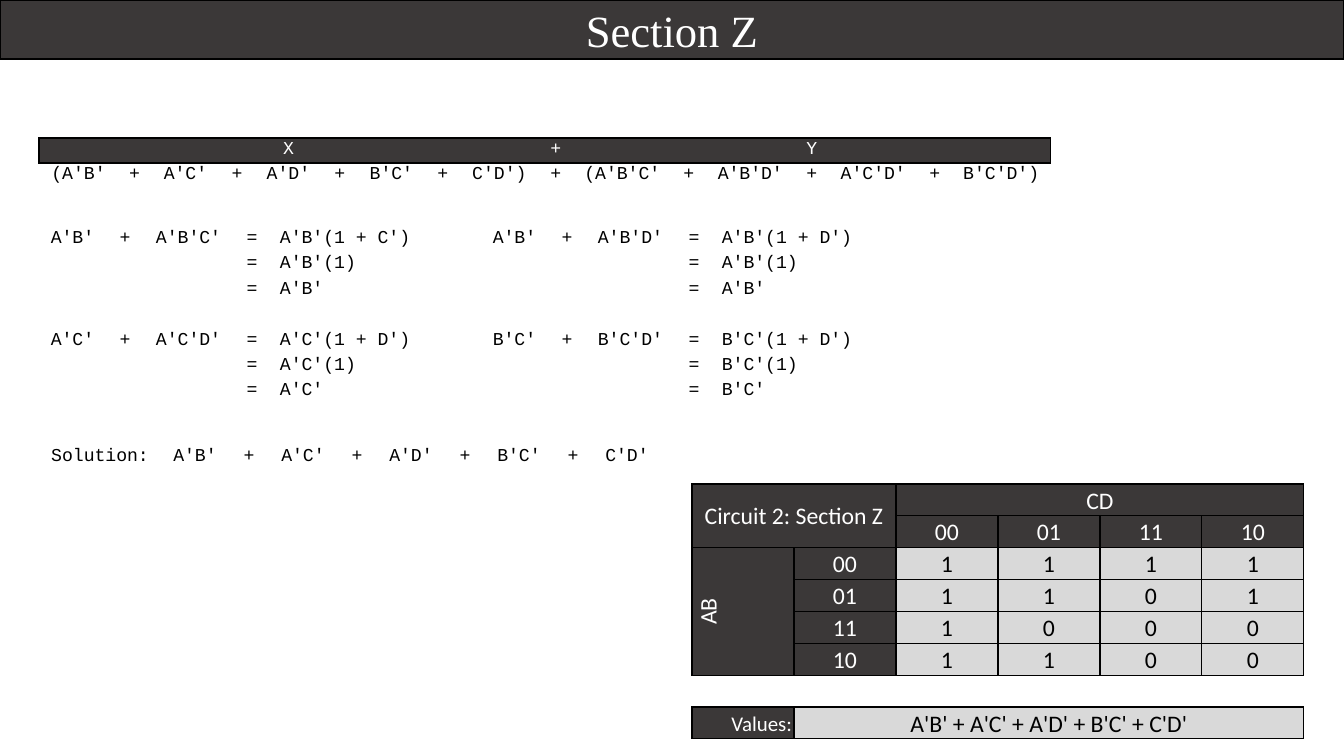
"""Build the Section Z slide: Boolean simplification steps and Karnaugh map."""
from lxml import etree
from pptx import Presentation
from pptx.dml.color import RGBColor
from pptx.enum.text import MSO_ANCHOR, MSO_AUTO_SIZE, PP_ALIGN
from pptx.oxml.ns import qn
from pptx.util import Pt

TOP, MIDDLE, BOTTOM = MSO_ANCHOR.TOP, MSO_ANCHOR.MIDDLE, MSO_ANCHOR.BOTTOM
LEFT, CENTER, RIGHT = PP_ALIGN.LEFT, PP_ALIGN.CENTER, PP_ALIGN.RIGHT
NO_AUTOFIT = MSO_AUTO_SIZE.NONE
PX = 9108
DARK, LIGHT, BLACK, WHITE = "3B3838", "D9D9D9", "000000", "FFFFFF"
PLAIN_STYLE = "{2D5ABB26-0587-4C30-8999-92F81FD0307C}"

TITLE = "Section Z"
EXPRESSION = [
    ["", "", "", "", "X", "", "", "", "", "+", "", "", "", "Y", "", "", ""],
    ["(A'B'", "+", "A'C'", "+", "A'D'", "+", "B'C'", "+", "C'D')", "+",
     "(A'B'C'", "+", "A'B'D'", "+", "A'C'D'", "+", "B'C'D')"],
]
EXPRESSION_COLS = [79, 33, 69, 34, 69, 34, 69, 34, 79, 34, 99, 34, 89, 34, 89, 34, 99]
PROOFS = [
    ["A'B'", "+", "A'B'C'", "=", "A'B'(1 + C')", "", "", "A'B'", "+", "A'B'D'", "=", "A'B'(1 + D')"],
    ["", "", "", "=", "A'B'(1)", "", "", "", "", "", "=", "A'B'(1)"],
    ["", "", "", "=", "A'B'", "", "", "", "", "", "=", "A'B'"],
    [""] * 12,
    ["A'C'", "+", "A'C'D'", "=", "A'C'(1 + D')", "", "", "B'C'", "+", "B'C'D'", "=", "B'C'(1 + D')"],
    ["", "", "", "=", "A'C'(1)", "", "", "", "", "", "=", "B'C'(1)"],
    ["", "", "", "=", "A'C'", "", "", "", "", "", "=", "B'C'"],
]
PROOF_COLS = [67, 38, 89, 38, 150, 30, 30, 67, 38, 89, 38, 150]
RESULT_COLS = (4, 11)
SOLUTION = [["Solution:", "A'B'", "+", "A'C'", "+", "A'D'", "+", "B'C'", "+", "C'D'"]]
SOLUTION_COLS = [120, 70, 38, 70, 38, 70, 38, 70, 38, 70]
KMAP = [
    ["Circuit 2: Section Z", "", "CD", "", "", ""],
    ["", "", "00", "01", "11", "10"],
    ["AB", "00", "1", "1", "1", "1"],
    ["", "01", "1", "1", "0", "1"],
    ["", "11", "1", "0", "0", "0"],
    ["", "10", "1", "1", "0", "0"],
    [""] * 6,
    ["Values:", "A'B' + A'C' + A'D' + B'C' + C'D'", "", "", "", ""],
]
KMAP_MERGES = [((0, 0), (1, 1)), ((0, 2), (0, 5)), ((2, 0), (5, 0)), ((7, 1), (7, 5))]
GAP_ROW, VALUES_ROW = 6, 7


def px(n):
    return round(n * PX)


def rgb(value):
    return RGBColor.from_string(value)


def put_text(tf, text, font="Courier New", size=13, color=BLACK, align=CENTER, spacing=None):
    p = tf.paragraphs[0]
    p.alignment = align
    p.line_spacing = spacing
    if text:
        r = p.add_run()
        r.text = text
        r.font.name = font
        r.font.size = Pt(size)
        r.font.color.rgb = rgb(color)
    else:
        etree.SubElement(p._p, qn("a:endParaRPr"), sz=str(size * 100))


def add_grid(slide, rows, cols, x, y, height):
    shape = slide.shapes.add_table(len(rows), len(cols), px(x), px(y), px(sum(cols)), px(height))
    table = shape.table
    table.first_row = table.horz_banding = False
    table._tbl.tblPr[0].text = PLAIN_STYLE
    for column, width in zip(table.columns, cols):
        column.width = px(width)
    for row in table.rows:
        row.height = px(height / len(rows))
    return table


def style_cell(cell, margins, anchor=TOP, fill=None, sides=""):
    cell.margin_left, cell.margin_top, cell.margin_right, cell.margin_bottom = map(px, margins)
    cell.vertical_anchor = anchor
    tcPr = cell._tc.get_or_add_tcPr()
    for side in sides:
        ln = etree.SubElement(tcPr, qn(f"a:ln{side}"), w=str(Pt(1)))
        solid = etree.SubElement(ln, qn("a:solidFill"))
        etree.SubElement(solid, qn("a:srgbClr"), val=BLACK)
    if fill:
        cell.fill.solid()
        cell.fill.fore_color.rgb = rgb(fill)
    else:
        cell.fill.background()


def add_algebra(slide, rows, cols, x, y, height, header=False, left_cols=()):
    table = add_grid(slide, rows, cols, x, y, height)
    for i, row in enumerate(rows):
        for j, text in enumerate(row):
            cell = table.cell(i, j)
            dark = header and i == 0
            sides = ("L" * (j == 0) + "R" * (j == len(cols) - 1) + "TB") if dark else ""
            style_cell(cell, (9, 0, 9, 0), fill=DARK if dark else None, sides=sides)
            put_text(cell.text_frame, text, color=WHITE if dark else BLACK,
                     align=LEFT if j in left_cols else CENTER, spacing=1.07)


def add_kmap(slide, x, y, height):
    table = add_grid(slide, KMAP, [102] * 6, x, y, height)
    for i, row in enumerate(KMAP):
        for j, text in enumerate(row):
            cell = table.cell(i, j)
            values = i == VALUES_ROW
            dark = i < 2 or j == 0 or (j == 1 and not values)
            fill = None if i == GAP_ROW else DARK if dark else LIGHT
            style_cell(cell, (2, 2, 2, 0), BOTTOM if values and j else MIDDLE, fill,
                       "TB" if i == GAP_ROW else "LRTB")
            label = values and j == 0
            put_text(cell.text_frame, text, font="Calibri", size=15 if label else 17,
                     color=WHITE if dark else BLACK, align=RIGHT if label else CENTER)
    for first, last in KMAP_MERGES:
        table.cell(*first).merge(table.cell(*last))
    table.cell(2, 0)._tc.get_or_add_tcPr().set("vert", "vert270")


def add_title(slide):
    sp = slide.shapes.title
    sp.left, sp.top, sp.width, sp.height = px(0), px(0), px(1344), px(59)
    sp.fill.solid()
    sp.fill.fore_color.rgb = rgb(DARK)
    sp.line.color.rgb = rgb(BLACK)
    sp.line.width = Pt(2)
    tf = sp.text_frame
    tf.auto_size = NO_AUTOFIT
    tf.vertical_anchor = MIDDLE
    put_text(tf, TITLE, font="Times New Roman", size=32, color=WHITE)


def main():
    prs = Presentation()
    prs.slide_width, prs.slide_height = px(1344), px(751)
    slide = prs.slides.add_slide(prs.slide_layouts[5])
    add_title(slide)
    add_algebra(slide, EXPRESSION, EXPRESSION_COLS, 39, 138, 50, header=True)
    add_algebra(slide, PROOFS, PROOF_COLS, 39, 227, 178, left_cols=RESULT_COLS)
    add_algebra(slide, SOLUTION, SOLUTION_COLS, 40, 445, 25)
    add_kmap(slide, 692, 484, 255)
    prs.save("out.pptx")


if __name__ == "__main__":
    main()
